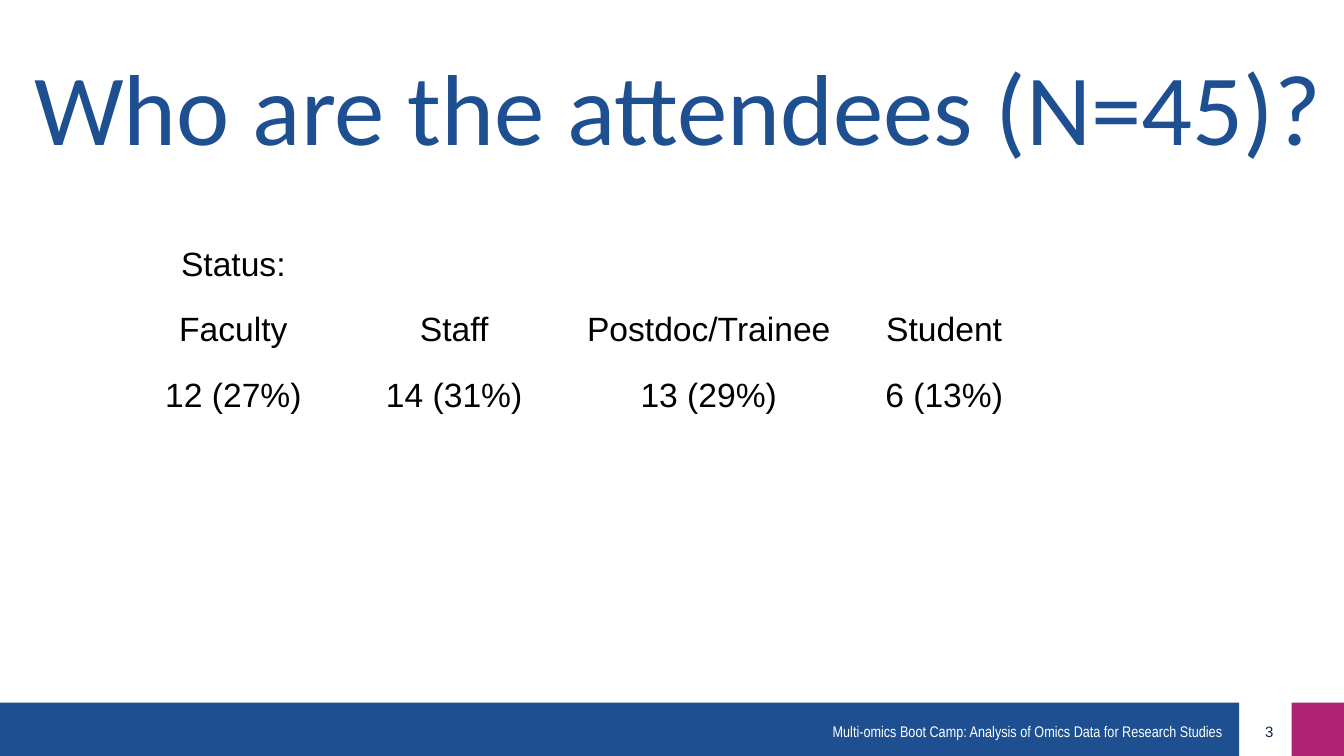
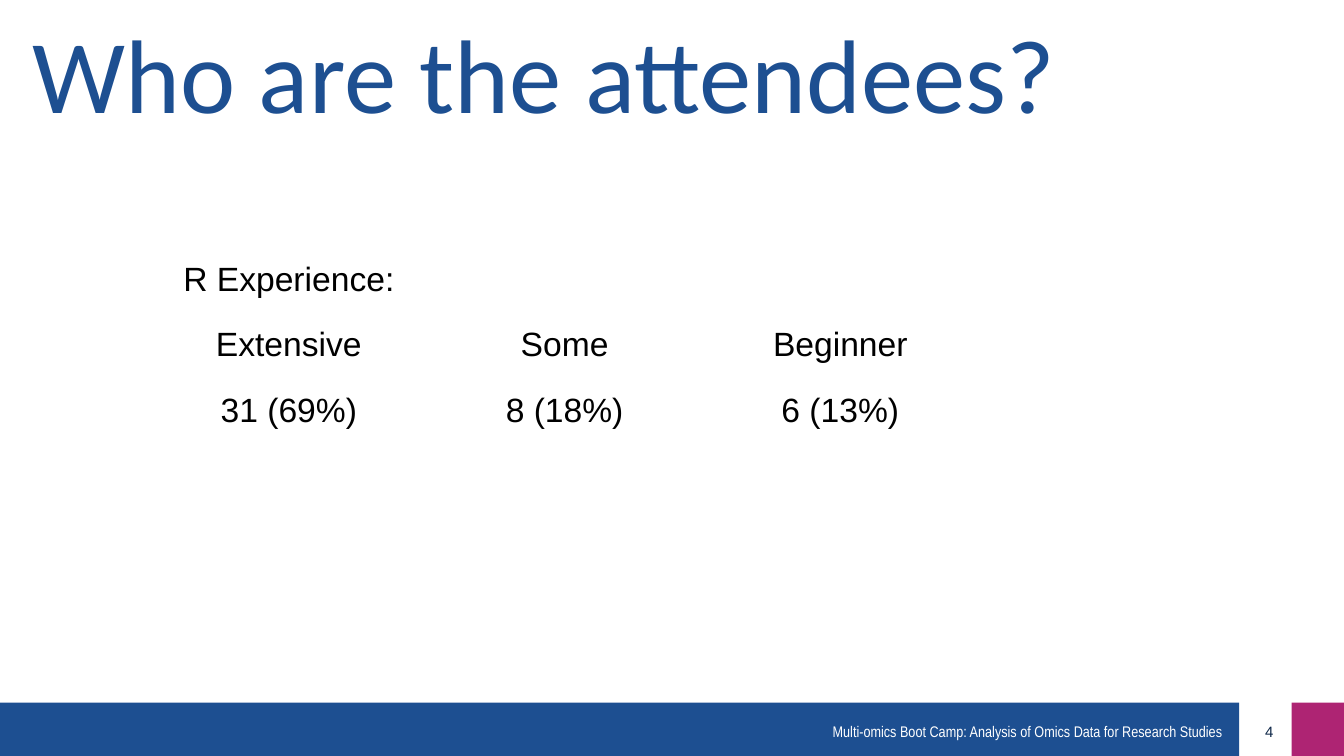
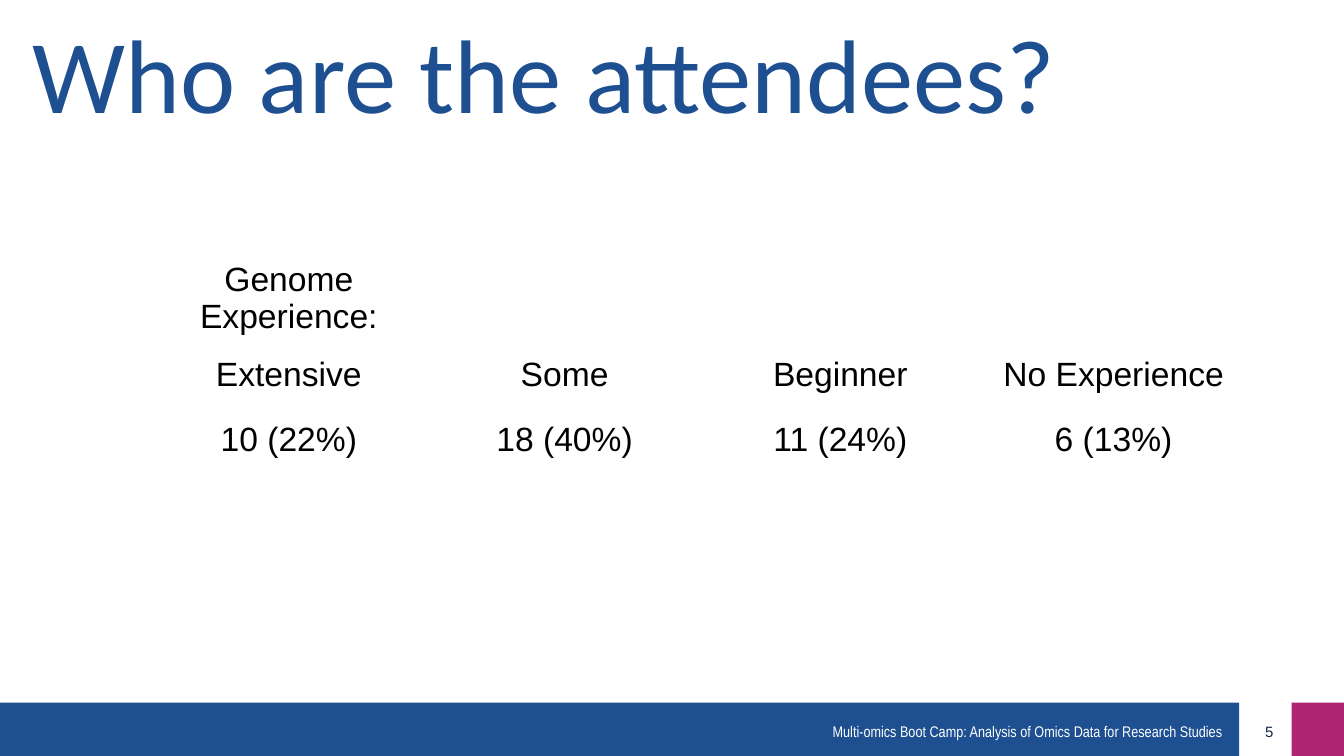
from dataclasses import dataclass

from pptx import Presentation
from pptx.dml.color import RGBColor
from pptx.enum.shapes import MSO_SHAPE
from pptx.enum.text import MSO_ANCHOR as Anchor, MSO_AUTO_SIZE as AutoSize, PP_ALIGN as Align
from pptx.util import Pt

PX = 9144  # EMU per px, 100 px to the inch
WIDTH, HEIGHT = 1333, 750
COLORS = {"blue": "1D4F91", "magenta": "AE2473", "navy": "0E2748",
          "white": "FFFFFF", "black": "000000"}
FOOTER = "Multi-omics Boot Camp: Analysis of Omics Data for Research Studies"
FIRST_NUMBER = 3
BAND_TOP, BAND_HEIGHT = 697, 53
CELL_INSETS = (13, 7)
NO_TABLE_STYLE = "{2D5ABB26-0587-4C30-8999-92F81FD0307C}"


@dataclass(frozen=True)
class Font:
    name: str
    size: float
    color: str


@dataclass(frozen=True)
class Survey:
    title: str
    title_at: tuple[int, int]
    title_size: float
    table_at: tuple[int, int]
    columns: tuple[int, ...]
    rows: tuple[int, ...]
    question: str
    answers: dict[str, str]


SURVEYS = (
    Survey("Who are the attendees (N=45)?", (34, 44), 72, (123, 237),
           (217, 221, 284, 183), (65, 65, 57), "Status:",
           {"Faculty": "12 (27%)", "Staff": "14 (31%)",
            "Postdoc/Trainee": "13 (29%)", "Student": "6 (13%)"}),
    Survey("Who are the attendees?", (32, 9), 74.7, (151, 252),
           (271, 276, 271), (65, 65, 57), "R Experience:",
           {"Extensive": "31 (69%)", "Some": "8 (18%)", "Beginner": "6 (13%)"}),
    Survey("Who are the attendees?", (32, 9), 74.7, (151, 252),
           (271, 276, 271, 271), (93, 65, 57), "Genome Experience:",
           {"Extensive": "10 (22%)", "Some": "18 (40%)",
            "Beginner": "11 (24%)", "No Experience": "6 (13%)"}),
)


def emu(*lengths: int) -> list[int]:
    return [n * PX for n in lengths]


def rgb(color: str) -> RGBColor:
    return RGBColor.from_string(COLORS[color])


def set_text(tf, text: str, font: Font, align: Align = Align.LEFT) -> None:
    tf.text = text
    p = tf.paragraphs[0]
    p.alignment = align
    for r in p.runs:
        r.font.name, r.font.size = font.name, Pt(font.size)
        r.font.color.rgb = rgb(font.color)


def set_insets(target, x: int, y: int) -> None:
    """Set the margins of a text frame or a table cell."""
    target.margin_left = target.margin_right = x * PX
    target.margin_top = target.margin_bottom = y * PX


def add_band(slide, left: int, width: int, color: str):
    sp = slide.shapes.add_shape(MSO_SHAPE.RECTANGLE, *emu(left, BAND_TOP, width, BAND_HEIGHT))
    sp.shadow.inherit = False
    sp.fill.solid()
    sp.fill.fore_color.rgb = rgb(color)
    sp.line.fill.background()
    return sp


def add_label(slide, box: tuple[int, int, int, int], insets: tuple[int, int],
              text: str, font: Font, align: Align = Align.LEFT):
    sp = slide.shapes.add_textbox(*emu(*box))
    tf = sp.text_frame
    tf.word_wrap = True
    set_insets(tf, *insets)
    set_text(tf, text, font, align)
    return sp


def add_shared_footer(slide, layout) -> None:
    """Draw the bands and footer on a slide, then move them to its layout."""
    parts = (
        add_band(slide, 0, 1229, "blue"),
        add_band(slide, 1281, 53, "magenta"),
        add_label(slide, (816, 711, 409, 29), (10, 5), FOOTER,
                  Font("Arial Narrow", 11, "white")),
    )
    for sp in parts:
        layout.shapes.element.append(sp.element)


def set_title(slide, survey: Survey) -> None:
    sp = slide.shapes.title
    sp.left, sp.top, sp.width, sp.height = emu(*survey.title_at, 1600, 167)
    tf = sp.text_frame
    tf.auto_size = AutoSize.NONE
    tf.vertical_anchor = Anchor.TOP
    set_insets(tf, 0, 0)
    set_text(tf, survey.title, Font("Calibri", survey.title_size, "blue"))


def add_answers(slide, survey: Survey) -> None:
    size = sum(survey.columns), sum(survey.rows)
    frame = slide.shapes.add_table(len(survey.rows), len(survey.columns),
                                   *emu(*survey.table_at, *size))
    table = frame.table
    table.first_row = table.horz_banding = False
    table._tbl.tblPr.find("{*}tableStyleId").text = NO_TABLE_STYLE
    for column, width in zip(table.columns, survey.columns):
        column.width = width * PX
    for row, height in zip(table.rows, survey.rows):
        row.height = height * PX
    for cell in table.iter_cells():
        cell.fill.background()
        set_insets(cell, *CELL_INSETS)
    texts = ([survey.question], survey.answers.keys(), survey.answers.values())
    for i, row in enumerate(texts):
        for j, text in enumerate(row):
            set_text(table.cell(i, j).text_frame, text, Font("Arial", 24, "black"),
                     Align.CENTER)


def main() -> None:
    prs = Presentation()
    prs.slide_width, prs.slide_height = emu(WIDTH, HEIGHT)
    layout = prs.slide_layouts[5]
    for number, survey in enumerate(SURVEYS, FIRST_NUMBER):
        slide = prs.slides.add_slide(layout)
        if number == FIRST_NUMBER:
            add_shared_footer(slide, layout)
        add_label(slide, (1228, 710, 48, 31), CELL_INSETS, str(number),
                  Font("Arial", 10.7, "navy"), Align.RIGHT)
        set_title(slide, survey)
        add_answers(slide, survey)
    prs.save("out.pptx")


if __name__ == "__main__":
    main()
